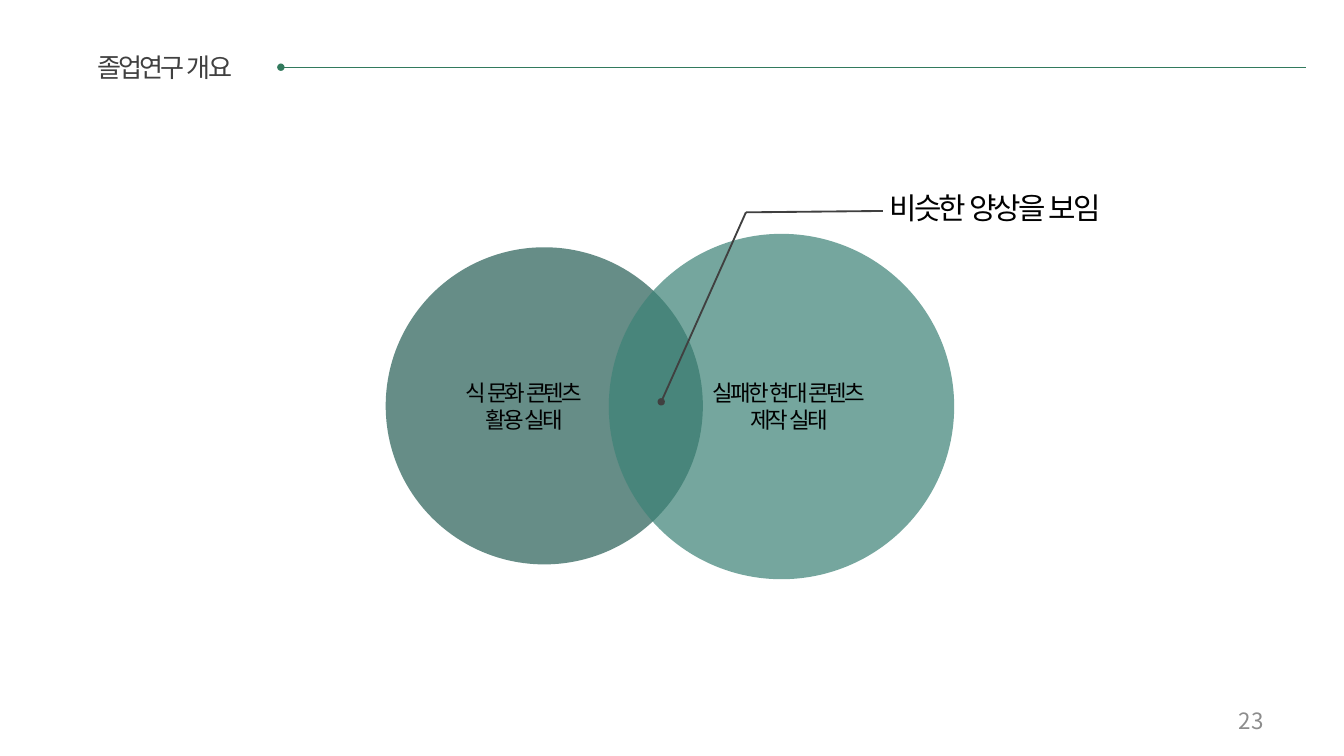
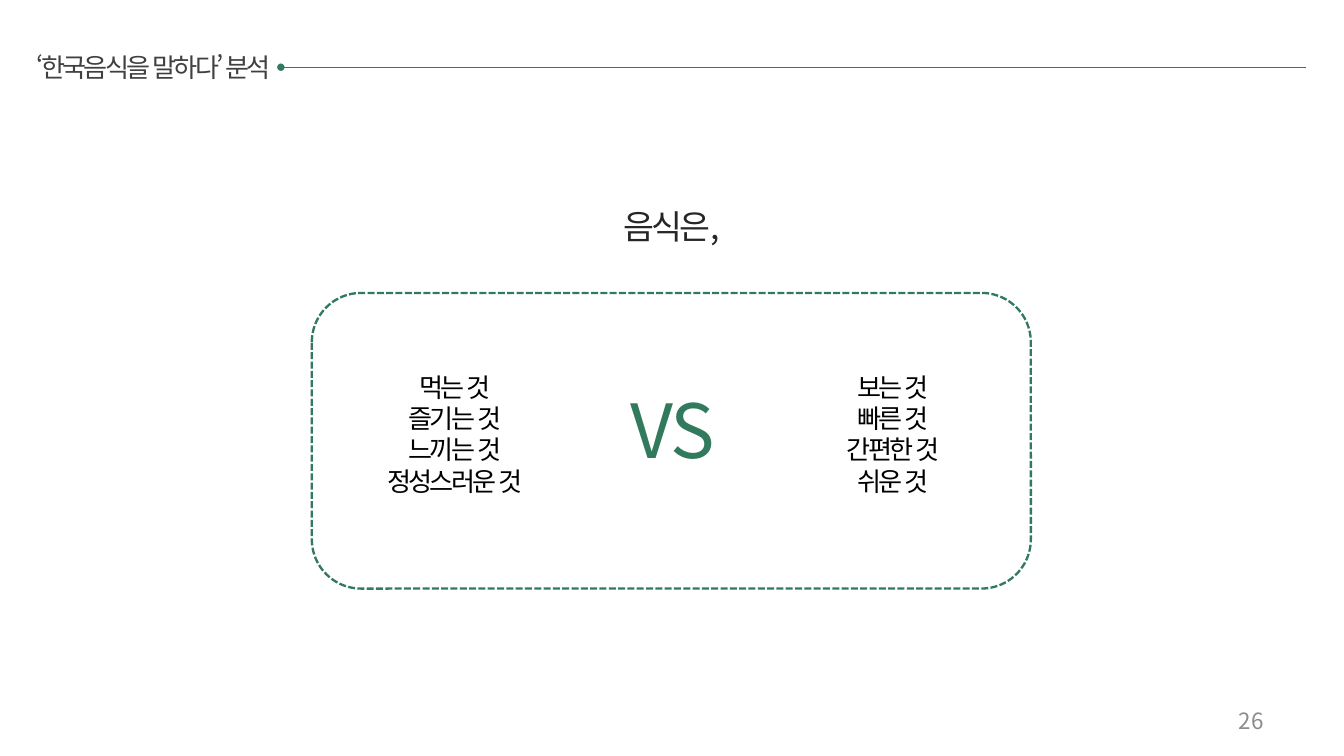
import dataclasses

import lxml.etree
import pptx
import pptx.dml.color
import pptx.enum.dml
import pptx.enum.lang
import pptx.enum.shapes
import pptx.enum.text
import pptx.oxml.ns
import pptx.util

Inches = pptx.util.Inches
Align = pptx.enum.text.PP_ALIGN
Anchor = pptx.enum.text.MSO_ANCHOR
Preset = pptx.enum.shapes.MSO_SHAPE


@dataclasses.dataclass(frozen=True)
class Theme:
    font: str = "Noto Sans CJK KR"
    accent: str = "327A5D"
    deep: str = "2E645B"
    soft: str = "3D8377"
    heading: str = "404040"
    lead: str = "262626"
    body: str = "000000"
    muted: str = "8C8C8C"
    small: int = 12
    medium: int = 14
    callout: int = 16
    large: int = 18
    display: int = 40
    tracking: float = -1.5


def rgb(value):
    return pptx.dml.color.RGBColor.from_string(value)


def add_xml(parent, tag, **attributes):
    return lxml.etree.SubElement(parent, pptx.oxml.ns.qn(tag), attributes)


class Deck:
    def __init__(self, theme):
        self.theme = theme
        self.presentation = pptx.Presentation()
        self.presentation.slide_width = Inches(10)
        self.presentation.slide_height = Inches(10) * 9 // 16
        self.slide = None

    def start(self, layout, title, title_left, number):
        theme = self.theme
        layouts = self.presentation.slide_layouts
        self.slide = self.presentation.slides.add_slide(layouts.get_by_name(layout))
        self.line((2.09, 0.5), (9.72, 0.5), theme.accent, 0.75, dot=True)
        self.fill_frame(self.slide.shapes.title, (title_left, 0.33, 2.05, 0.34),
                        title, theme.medium, theme.heading)
        page = self.text((7.17, 5.21, 2.33, 0.3), number, theme.small,
                         theme.muted, align=Align.RIGHT, tracking=0)
        page.text_frame.auto_size = pptx.enum.text.MSO_AUTO_SIZE.NONE
        page.text_frame.vertical_anchor = Anchor.MIDDLE

    def fill_frame(self, holder, box, content, size, color,
                   align=Align.CENTER, tracking=None):
        holder.left, holder.top, holder.width, holder.height = map(Inches, box)
        frame = holder.text_frame
        frame.text = content
        frame.word_wrap = True
        frame.auto_size = pptx.enum.text.MSO_AUTO_SIZE.SHAPE_TO_FIT_TEXT
        frame.vertical_anchor = Anchor.TOP
        spacing = self.theme.tracking if tracking is None else tracking
        for paragraph in frame.paragraphs:
            paragraph.alignment = align
            paragraph.space_before = pptx.util.Pt(0)
            for run in paragraph.runs:
                run.font.name = self.theme.font
                run.font.size = pptx.util.Pt(size)
                run.font.color.rgb = rgb(color)
                run.font.language_id = pptx.enum.lang.MSO_LANGUAGE_ID.KOREAN
                properties = run._r.get_or_add_rPr()
                if spacing:
                    properties.set("spc", str(round(spacing * 100)))
                add_xml(properties, "a:ea", typeface=self.theme.font)

    def text(self, box, content, size, color, **options):
        holder = self.slide.shapes.add_textbox(*map(Inches, box))
        self.fill_frame(holder, box, content, size, color, **options)
        return holder

    def plain_list(self, index, box, entries):
        holder = self.slide.placeholders[index]
        self.fill_frame(holder, box, "\n".join(entries),
                        self.theme.medium, self.theme.body)
        for paragraph in holder.text_frame.paragraphs:
            properties = paragraph._p.get_or_add_pPr()
            properties.set("marL", "0")
            properties.set("indent", "0")
            add_xml(properties, "a:buNone")

    def line(self, start, end, color, width, dot=False):
        connector = self.slide.shapes.add_connector(
            pptx.enum.shapes.MSO_CONNECTOR.STRAIGHT, *map(Inches, start + end))
        connector.line.color.rgb = rgb(color)
        connector.line.width = pptx.util.Pt(width)
        if dot:
            add_xml(connector.line._get_or_add_ln(), "a:headEnd",
                    type="oval", w="sm", len="sm")
        add_xml(connector._element.spPr, "a:effectLst")

    def circle(self, left, top, diameter, color, opacity):
        disc = self.slide.shapes.add_shape(
            Preset.OVAL, *map(Inches, (left, top, diameter, diameter)))
        disc.shadow.inherit = False
        disc.line.fill.background()
        disc.fill.solid()
        disc.fill.fore_color.rgb = rgb(color)
        tint = disc._element.spPr.find(".//" + pptx.oxml.ns.qn("a:srgbClr"))
        add_xml(tint, "a:alpha", val=str(opacity * 1000))

    def dashed_frame(self, box):
        border = self.slide.shapes.add_shape(
            Preset.ROUNDED_RECTANGLE, *map(Inches, box))
        border.shadow.inherit = False
        border.fill.background()
        border.line.color.rgb = rgb(self.theme.accent)
        border.line.width = pptx.util.Pt(1.25)
        border.line.dash_style = pptx.enum.dml.MSO_LINE.SQUARE_DOT


def build_overview(deck):
    theme = deck.theme
    deck.start("Title Only", "졸업연구 개요", 0.2, "23")
    topics = (
        ((2.87, 1.84, 2.36), theme.deep, 73, 2.56, "식 문화 콘텐츠\n활용 실태"),
        ((4.53, 1.74, 2.57), theme.soft, 71, 4.53, "실패한 현대 콘텐츠\n제작 실태"),
    )
    for disc, color, opacity, label_left, label in topics:
        deck.circle(*disc, color, opacity)
        deck.text((label_left, 2.77, 2.68, 0.5), label, theme.small, theme.body)
    overlap, elbow, callout = (4.92, 2.99), (5.55, 1.58), (6.57, 1.57)
    deck.line(overlap, elbow, theme.heading, 1, dot=True)
    deck.line(elbow, callout, theme.heading, 1)
    deck.text((6.42, 1.36, 1.97, 0.37), "비슷한 양상을 보임",
              theme.callout, theme.body)


def build_comparison(deck):
    theme = deck.theme
    deck.start("Two Content", "‘한국음식을 말하다’ 분석", 0.12, "26")
    deck.text((3.9, 1.48, 2.2, 0.4), "음식은,", theme.large, theme.lead)
    sides = (
        (1, 1.93, ("먹는 것", "즐기는 것", "느끼는 것", "정성스러운 것")),
        (2, 5.19, ("보는 것", "빠른 것", "간편한 것", "쉬운 것")),
    )
    for index, left, entries in sides:
        deck.plain_list(index, (left, 2.71, 2.91, 1.28), entries)
    deck.text((4.46, 2.81, 1.09, 0.77), "VS", theme.display, theme.accent)
    deck.dashed_frame((2.32, 2.18, 5.35, 2.2))


def main():
    deck = Deck(Theme())
    build_overview(deck)
    build_comparison(deck)
    deck.presentation.save("out.pptx")


if __name__ == "__main__":
    main()
